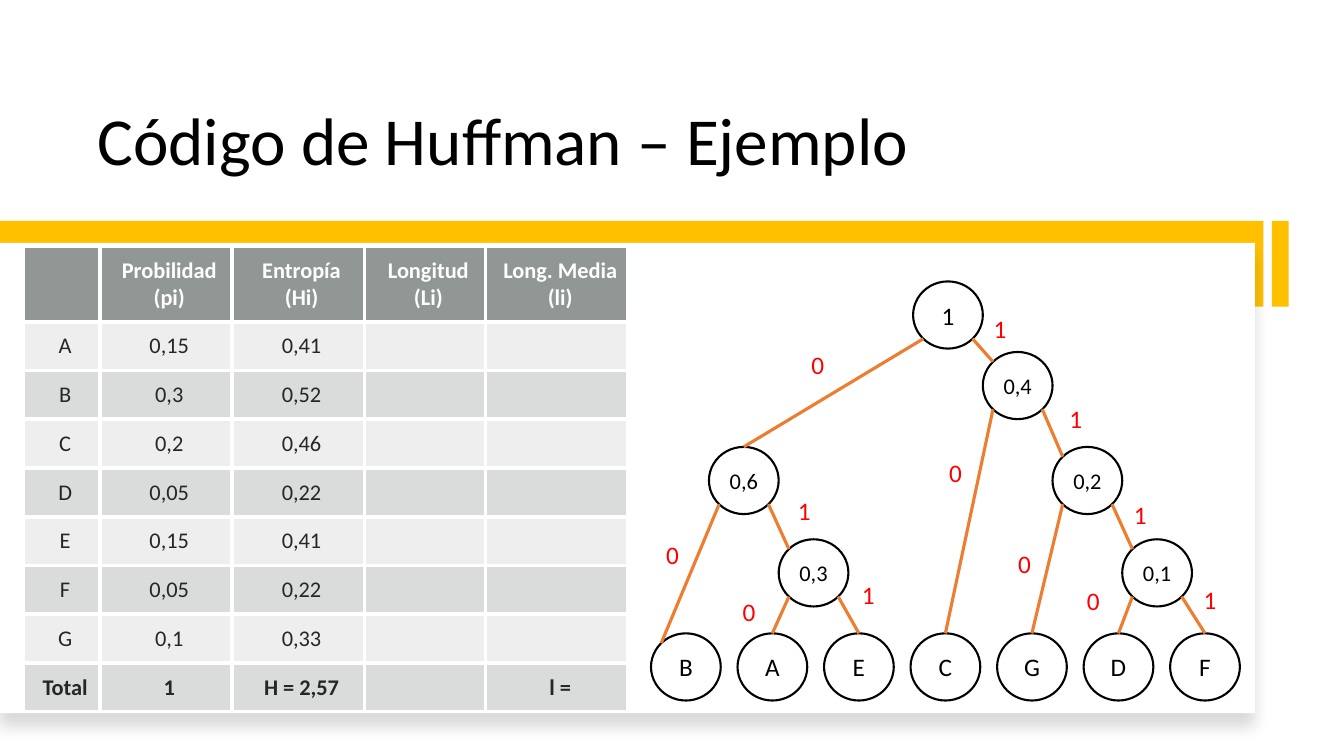
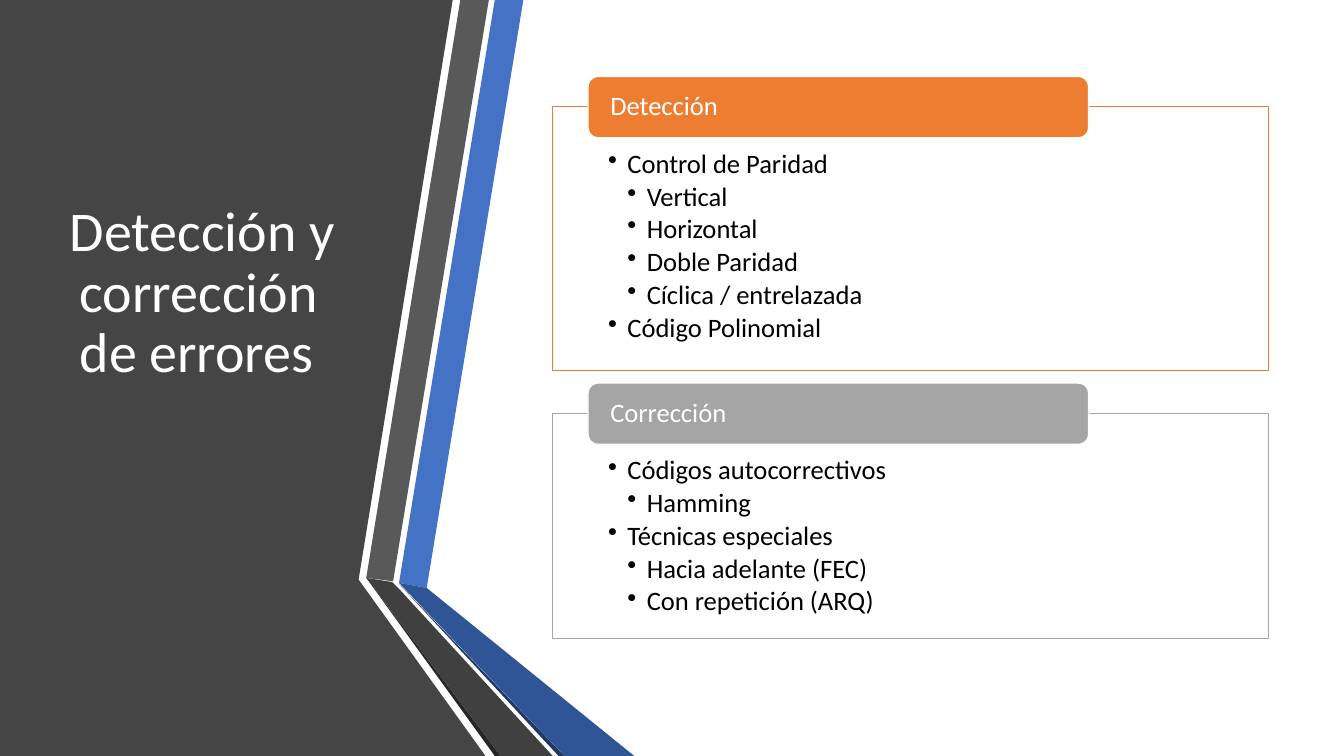
from dataclasses import dataclass

from lxml import etree
from pptx import Presentation
from pptx import util as u
from pptx.dml import color
from pptx.enum import shapes, text
from pptx.oxml import ns


@dataclass(frozen=True)
class Theme:
    font: str = "Calibri"
    ink: str = "000000"
    paper: str = "FFFFFF"
    band: str = "FFC000"
    header: str = "636B68"
    row: str = "878E8B"
    row_ink: str = "262626"
    bit: str = "FF0000"
    orange: str = "ED7D31"
    silver: str = "A5A5A5"
    charcoal: str = "454545"
    grey: str = "595959"
    grey_fold: str = "404040"
    grey_edge: str = "262626"
    blue: str = "4472C4"
    blue_fold: str = "2F5597"
    blue_edge: str = "203864"
    title_size: int = 48
    side_title_size: int = 40
    card_size: int = 19
    label_size: int = 18
    small_size: int = 16


THEME = Theme()
COLUMNS, ROWS = 160, 90
UNIT = u.Inches(13.33333) // COLUMNS
NODE_W, NODE_H = 8.3, 8
DIAGONAL = 0.5 ** 0.5 / 2


def span(*cells):
    return [u.Emu(round(cell * UNIT)) for cell in cells]


def rgb(code):
    return color.RGBColor.from_string(code)


def child(parent, tag, **attributes):
    return etree.SubElement(parent, ns.qn(tag), {k: str(v) for k, v in attributes.items()})


def paint(fill, code, opacity=100):
    fill.solid()
    fill.fore_color.rgb = rgb(code)
    if opacity < 100:
        for tint in fill._xPr.iter(ns.qn("a:srgbClr")):
            child(tint, "a:alpha", val=opacity * 1000)


def write(target, lines, *, size, ink=THEME.ink, bold=False, align=text.PP_ALIGN.LEFT,
          anchor=text.MSO_ANCHOR.TOP, insets=(1.2, 0.6, 1.2, 0.6), wrap=None,
          hang=0, bullet=None, leading=None, after=0):
    frame = getattr(target, "text_frame", target)
    target.margin_left, target.margin_top, target.margin_right, target.margin_bottom = span(*insets)
    target.vertical_anchor = anchor
    if wrap is not None:
        frame.word_wrap = wrap
    for index, (line, level) in enumerate(lines):
        paragraph = frame.add_paragraph() if index else frame.paragraphs[0]
        properties = paragraph._p.get_or_add_pPr()
        if hang:
            step, = span(hang)
            properties.set("marL", str(step * max(level, 1)))
            properties.set("indent", str(-step))
        if bullet:
            child(properties, "a:buChar", char=bullet)
        paragraph.level = level
        paragraph.alignment = align
        paragraph.space_after = u.Pt(after)
        if leading:
            paragraph.line_spacing = leading
        run = paragraph.add_run()
        run.text = line
        run.font.name, run.font.size, run.font.bold = THEME.font, u.Pt(size), bold
        run.font.color.rgb = rgb(ink)


def add_text(slide, place, words, **style):
    box = slide.shapes.add_textbox(*span(*place))
    write(box.text_frame, [(words, 0)], wrap=True, **style)


def add_title(slide, place, words, **style):
    add_text(slide, place, words, hang=1.2, leading=0.9, after=2, **style)


def add_block(slide, kind, place, fill, outline=None, weight=1, opacity=100):
    block = slide.shapes.add_shape(kind, *span(*place))
    block.shadow.inherit = False
    paint(block.fill, fill, opacity)
    if outline:
        block.line.color.rgb = rgb(outline)
        block.line.width = u.Pt(weight)
    else:
        block.line.fill.background()
    return block


def add_soft_shadow(block):
    effects = block._element.spPr.find(ns.qn("a:effectLst"))
    shadow = child(effects, "a:outerShdw", blurRad=u.Pt(11), dist=u.Pt(10),
                   dir=90 * 60000, algn="t", rotWithShape=0)
    child(child(shadow, "a:srgbClr", val=THEME.ink), "a:alpha", val=15000)


def add_outline(slide, points, fill):
    start, *rest = [span(*point) for point in points]
    builder = slide.shapes.build_freeform(*start, scale=1.0)
    builder.add_line_segments(rest, close=True)
    outline = builder.convert_to_shape()
    outline.shadow.inherit = False
    paint(outline.fill, fill)
    outline.line.fill.background()


def border_cell(cell, code, weight):
    properties = cell._tc.get_or_add_tcPr()
    for index, tag in enumerate(("a:lnL", "a:lnR", "a:lnT", "a:lnB")):
        edge = child(properties, tag, w=u.Pt(weight))
        child(child(edge, "a:solidFill"), "a:srgbClr", val=code)
        properties.insert(index, edge)


def add_grid(slide, corner, widths, heights, records):
    place = (*corner, sum(widths), sum(heights))
    grid = slide.shapes.add_table(len(heights), len(widths), *span(*place)).table
    grid.first_row = grid.horz_banding = False
    for column, width in zip(grid.columns, span(*widths)):
        column.width = width
    for row, height in zip(grid.rows, span(*heights)):
        row.height = height
    last = len(records) - 1
    for r, record in enumerate(records):
        for k, words in enumerate(record):
            cell = grid.cell(r, k)
            if r == 0:
                paint(cell.fill, THEME.header, 70)
            else:
                paint(cell.fill, THEME.row, 15 if r % 2 else 30)
            border_cell(cell, THEME.paper, 3)
            if words:
                write(cell, [(words, 0)], size=THEME.small_size, bold=r in (0, last),
                      ink=THEME.row_ink if r else THEME.paper, align=text.PP_ALIGN.CENTER,
                      anchor=text.MSO_ANCHOR.MIDDLE, insets=(2.1, 1.3, 1.3, 1.3))


def add_node(slide, words, x, y):
    node = add_block(slide, shapes.MSO_SHAPE.OVAL, (x, y, NODE_W, NODE_H),
                     THEME.paper, THEME.ink, 1.5)
    write(node.text_frame, [(words, 0)], wrap=False, insets=(0, 0, 0, 0),
          size=THEME.small_size if "," in words else THEME.label_size,
          align=text.PP_ALIGN.CENTER, anchor=text.MSO_ANCHOR.MIDDLE)
    return node


def rim(node, side, drop):
    return (round(node.left + node.width * (0.5 + side * DIAGONAL)),
            round(node.top + node.height * (0.5 + drop * DIAGONAL)))


def add_branch(slide, parent, bit, offspring, to_top):
    start = rim(parent, 1 if bit == "1" else -1, 1)
    branch = slide.shapes.add_connector(shapes.MSO_CONNECTOR.STRAIGHT, *start,
                                        *rim(offspring, -1, -1))
    if to_top:
        branch.end_connect(offspring, 0)
    branch.line.color.rgb = rgb(THEME.orange)
    branch.line.width = u.Pt(2.25)
    child(branch._element.spPr, "a:effectLst")


def add_tree(slide):
    levels = (33.5, 41.9, 53.2, 64.2, 75.4)
    places = {letter: (77.5 + 10.3 * i, levels[4]) for i, letter in enumerate("BAECGDF")}
    for left, first, chain in ((108.7, 0, ("1", "0,4", "0,2", "0,1")), (84.4, 2, ("0,6", "0,3"))):
        places.update({name: (left + NODE_W * i, levels[first + i])
                       for i, name in enumerate(chain)})
    nodes = {name: add_node(slide, name, *place) for name, place in places.items()}
    branches = (
        ("1", "0", "0,6", 95.4, 41), ("1", "1", "0,4", 117.1, 36.7),
        ("0,4", "0", "C", 111.8, 53.9), ("0,4", "1", "0,2", 126.1, 47.4),
        ("0,2", "0", "G", 120, 64.7), ("0,2", "1", "0,1", 133.8, 58.8),
        ("0,1", "0", "D", 128.2, 69.1), ("0,1", "1", "F", 142.1, 69),
        ("0,6", "0", "B", 78.1, 63.6), ("0,6", "1", "0,3", 93.8, 58.4),
        ("0,3", "0", "A", 87.2, 70.4), ("0,3", "1", "E", 101.4, 68.4),
    )
    for parent, bit, offspring, x, y in branches:
        to_top = offspring == "0,6" or (offspring.isalpha() and offspring != "B")
        add_branch(slide, nodes[parent], bit, nodes[offspring], to_top)
        add_text(slide, (x, y, 4.6, 4.8), bit, size=THEME.label_size, ink=THEME.bit)


def add_card(slide, top, height, accent, heading, items):
    body = add_block(slide, shapes.MSO_SHAPE.RECTANGLE, (65.8, top, 85.2, height),
                     THEME.paper, accent, opacity=90)
    write(body.text_frame, items, size=THEME.card_size, wrap=True, hang=2.3, bullet="•",
          insets=(6.6, 5.2, 6.6, 1.8), leading=0.9, after=2.85)
    tab = add_block(slide, shapes.MSO_SHAPE.ROUNDED_RECTANGLE, (70, top - 3.6, 59.6, 7.3),
                    accent, THEME.paper)
    write(tab.text_frame, [(heading, 0)], size=THEME.card_size, ink=THEME.paper, wrap=True,
          anchor=text.MSO_ANCHOR.MIDDLE, insets=(2.3, 0, 2.3, 0), leading=0.9)


def build_huffman(slide):
    add_title(slide, (10.4, 5, 133.1, 17), "Código de Huffman – Ejemplo",
              size=THEME.title_size, anchor=text.MSO_ANCHOR.BOTTOM)
    rectangle = shapes.MSO_SHAPE.RECTANGLE
    add_block(slide, rectangle, (0, 26.3, 150.4, 10.2), THEME.band)
    add_soft_shadow(add_block(slide, rectangle, (0, 28.9, 149.4, 56), THEME.paper))
    add_block(slide, rectangle, (151.4, 26.3, 2, 10.2), THEME.band)
    records = (
        ("", "Probilidad (pi)", "Entropía (Hi)", "Longitud (Li)", "Long. Media (li)"),
        ("A", "0,15", "0,41", "", ""),
        ("B", "0,3", "0,52", "", ""),
        ("C", "0,2", "0,46", "", ""),
        ("D", "0,05", "0,22", "", ""),
        ("E", "0,15", "0,41", "", ""),
        ("F", "0,05", "0,22", "", ""),
        ("G", "0,1", "0,33", "", ""),
        ("Total", "1", "H = 2,57", "", "l ="),
    )
    add_grid(slide, (2.8, 29.3), (9.1, 15.7, 15.8, 14.4, 17), (9, *[5.8] * 8), records)
    add_tree(slide)


def build_errors(slide):
    ribbons = (
        (THEME.charcoal, ((0, 0), (53.9, 0), (42.7, 69), (57.8, 90), (0, 90))),
        (THEME.blue, ((47.5, 69.4), (50.8, 70), (62.3, 0), (58.9, 0))),
        (THEME.grey, ((58.2, 0), (54.8, 0), (43.6, 68.8), (46.8, 69.2))),
        (THEME.grey_edge, ((43.6, 68.8), (58.9, 90), (59.6, 90))),
        (THEME.blue_edge, ((47.5, 69.5), (66.5, 90), (67.2, 90))),
        (THEME.blue_fold, ((47.5, 69.4), (67.2, 90), (75.5, 90), (50.8, 70))),
        (THEME.grey_fold, ((65.8, 90), (47.4, 70), (46.7, 69.3), (43.6, 68.8), (59.6, 90))),
    )
    for fill, points in ribbons:
        add_outline(slide, points, fill)
    add_title(slide, (7.1, 9, 36.5, 52), "Detección y corrección de errores",
              size=THEME.side_title_size, ink=THEME.paper, anchor=text.MSO_ANCHOR.MIDDLE)
    add_card(slide, 12.7, 31.4, THEME.orange, "Detección", (
        ("Control de Paridad", 1), ("Vertical", 2), ("Horizontal", 2),
        ("Doble Paridad", 2), ("Cíclica / entrelazada", 2), ("Código Polinomial", 1)))
    add_card(slide, 49.2, 26.8, THEME.silver, "Corrección", (
        ("Códigos autocorrectivos", 1), ("Hamming", 2), ("Técnicas especiales", 1),
        ("Hacia adelante (FEC)", 2), ("Con repetición (ARQ)", 2)))


def main():
    deck = Presentation()
    deck.slide_width, deck.slide_height = span(COLUMNS, ROWS)
    for build in (build_huffman, build_errors):
        build(deck.slides.add_slide(deck.slide_layouts[6]))
    deck.save("out.pptx")


if __name__ == "__main__":
    main()
